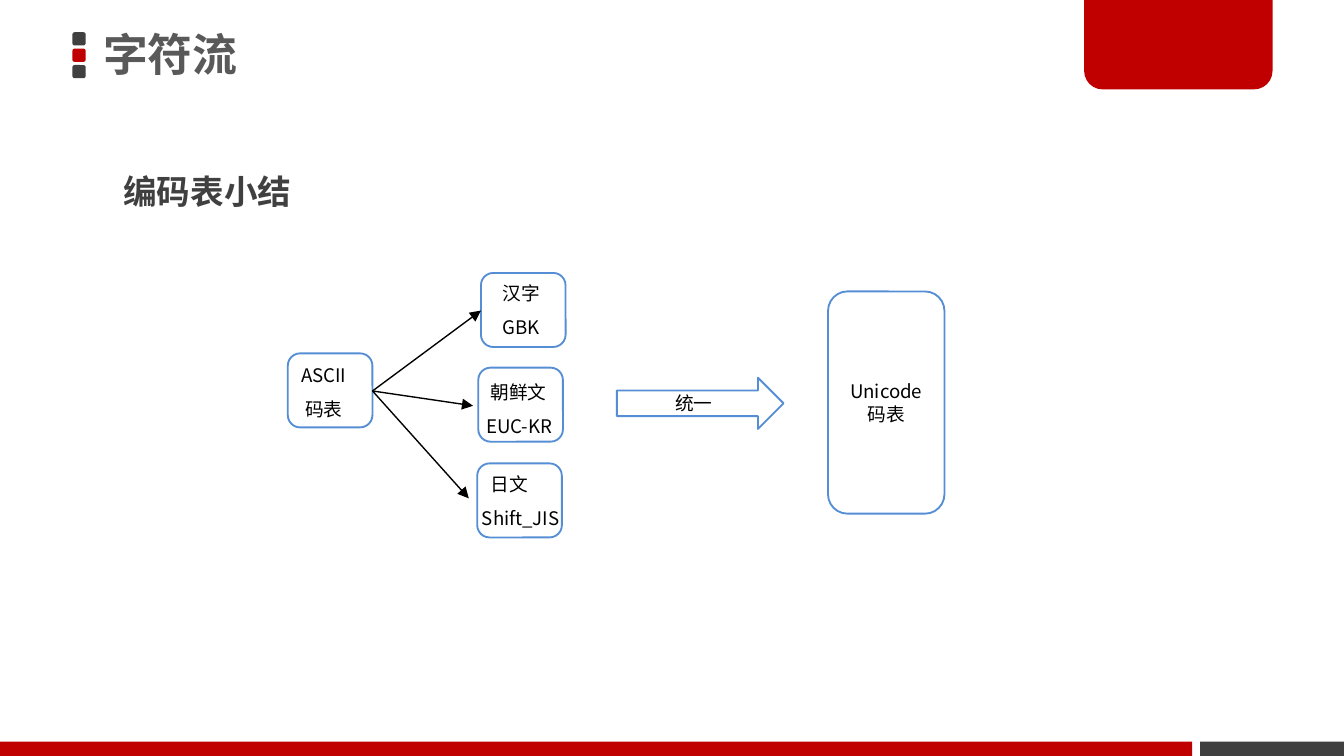
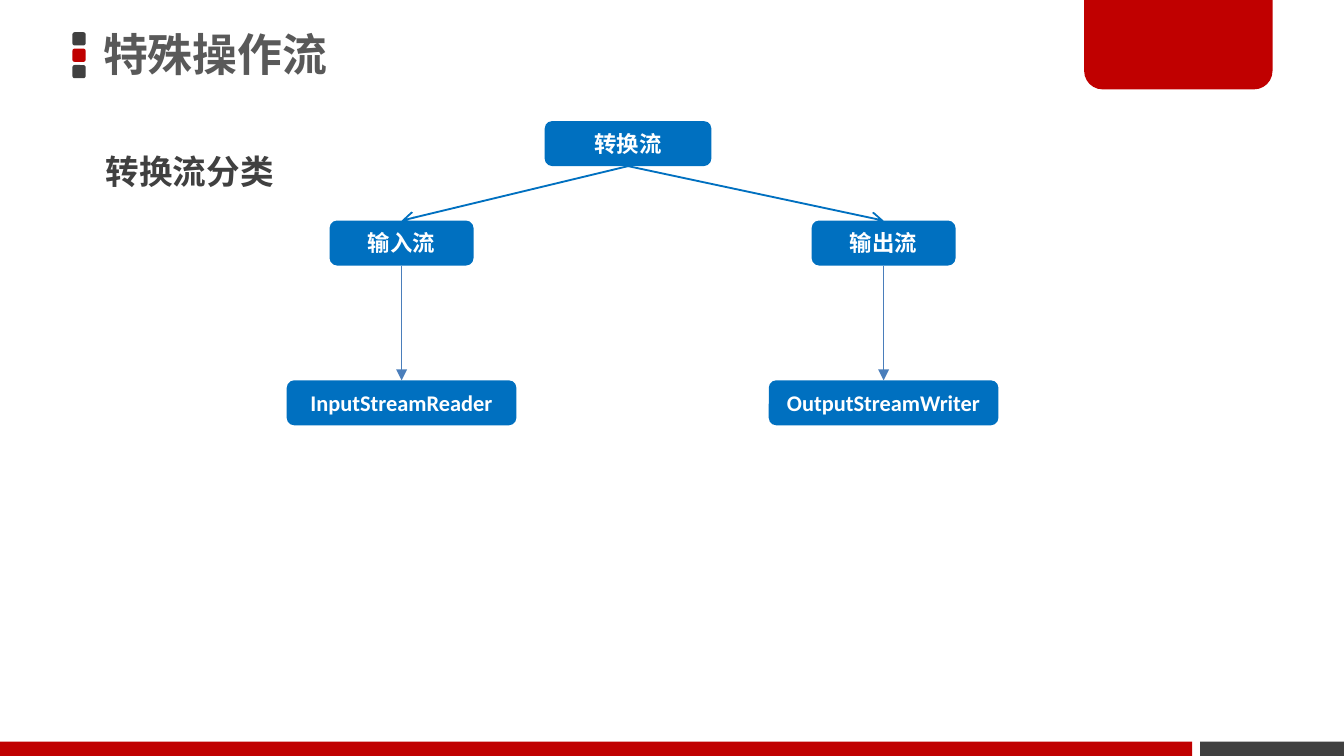
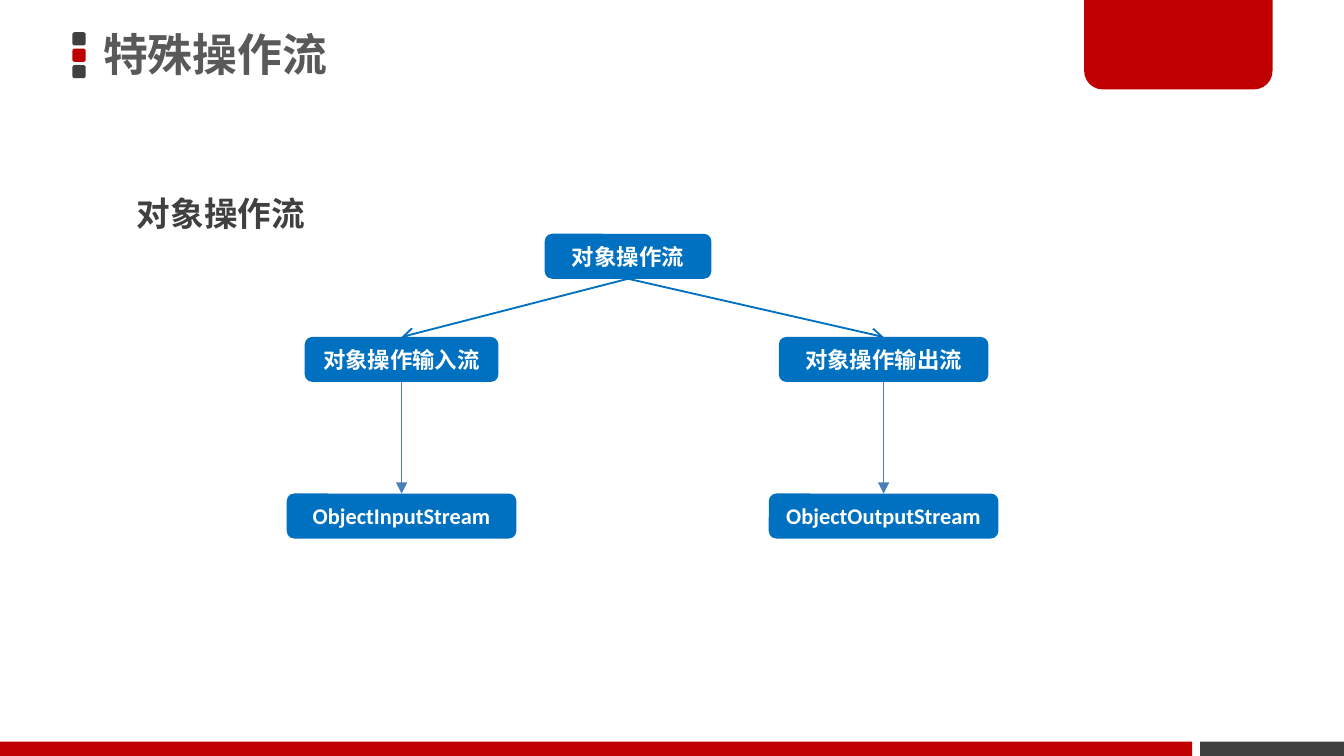
from pptx import Presentation
from pptx.dml.color import RGBColor
from pptx.enum.shapes import MSO_CONNECTOR, MSO_SHAPE
from pptx.enum.text import MSO_ANCHOR, MSO_AUTO_SIZE, PP_ALIGN
from pptx.oxml.ns import qn
from pptx.util import Cm, Pt
from lxml.etree import SubElement

HUES = {
    "red": "C00000", "dark": "404040", "grey": "595959", "blue": "0070C0",
    "edge": "558ED5", "steel": "4A7EBB", "white": "FFFFFF", "black": "000000",
}
HUES = {name: RGBColor.from_string(code) for name, code in HUES.items()}
SANS, LATIN = "Noto Sans CJK SC", "Calibri"
ROUND = MSO_SHAPE.ROUNDED_RECTANGLE


def box(slide, kind, at, fill=None, edge=None):
    """Add a preset shape at (left, top, width, height) in cm."""
    shape = slide.shapes.add_shape(kind, *[Cm(n) for n in at])
    shape.shadow.inherit = False
    if fill:
        shape.fill.solid()
        shape.fill.fore_color.rgb = HUES[fill]
    else:
        shape.fill.background()
    if edge:
        shape.line.color.rgb = HUES[edge]
        shape.line.width = Pt(1)
    else:
        shape.line.fill.background()
    return shape


def write(shape, rows, size, hue, face=SANS, bold=False, align=PP_ALIGN.CENTER,
          space=1.0, **frame):
    """Fill a shape with rows of (indent in cm, text)."""
    body = shape.text_frame
    for key, val in {"word_wrap": True, **frame}.items():
        setattr(body, key, val)
    for i, (dent, words) in enumerate(rows):
        para = body.add_paragraph() if i else body.paragraphs[0]
        para.alignment, para.line_spacing = align, space
        if dent:
            para._p.get_or_add_pPr().set("marL", str(Cm(dent)))
        run = para.add_run()
        run.text = words
        for key, val in {"name": face, "size": Pt(size), "bold": bold}.items():
            setattr(run.font, key, val)
        run.font.color.rgb = HUES[hue]
        SubElement(run._r.get_or_add_rPr(), qn("a:ea")).set("typeface", SANS)


deck = Presentation()
deck.slide_width, deck.slide_height = Cm(25.4), Cm(14.29)
links = []  # slide, start, end, hue, width, head

# Shared frame, title and subtitle
HEADS = [
    ("字符流", "编码表小结", (2.08, 2.72, 19.71, 1.4)),
    ("特殊操作流", "转换流分类", (1.75, 2.34, 9.75, 1.4)),
    ("特殊操作流", "对象操作流", (2.34, 3.15, 9.75, 1.4)),
]
LEFT = {"align": PP_ALIGN.LEFT, "space": 1.5, "vertical_anchor": MSO_ANCHOR.TOP}
for head, sub, at in HEADS:
    slide = deck.slides.add_slide(deck.slide_layouts[5])
    for i, hue in enumerate(("dark", "red", "dark")):
        box(slide, ROUND, (1.37, 0.61 + 0.31 * i, 0.25, 0.25), hue)
    box(slide, MSO_SHAPE.RECTANGLE, (22.68, 14.02, 2.72, 0.27), "dark")
    box(slide, MSO_SHAPE.RECTANGLE, (0, 14.02, 22.53, 0.27), "red")
    tab = box(slide, MSO_SHAPE.ROUND_2_SAME_RECTANGLE, (20.49, -0.05, 3.56, 1.74), "red")
    tab.adjustments[0], tab.adjustments[1] = 0, 0.2

    title = slide.shapes.title
    spot = {"left": 1.75, "top": -0.05, "width": 14.96, "height": 2.26}
    for key, val in spot.items():
        setattr(title, key, Cm(val))
    write(title, [(0, head)], 24, "grey", bold=True, align=PP_ALIGN.LEFT, space=0.9,
          vertical_anchor=MSO_ANCHOR.MIDDLE, auto_size=MSO_AUTO_SIZE.NONE,
          margin_left=Cm(0.2), margin_right=Cm(0.2),
          margin_top=Cm(0.1), margin_bottom=Cm(0.1))
    note = slide.shapes.add_textbox(*[Cm(n) for n in at])
    write(note, [(0, sub)], 18, "dark", bold=True, **LEFT)

# Slide 1: code tables, each with a box corner and a label place
slide = deck.slides[0]
CODES = [
    ((5.44, 6.68), (5.44, 6.55, 1.6), [(0, "ASCII"), (0.08, "码表")]),
    ((9.09, 5.16), (9.25, 5.0, 1.4), [(0, "汉字GBK")]),
    ((9.04, 6.95), (8.94, 6.86, 1.93), [(0.08, "朝鲜文"), (0, "EUC-KR")]),
    ((9.02, 8.76), (8.86, 8.61, 2.16), [(0.16, "日文"), (0, "Shift_JIS")]),
]
for spot, at, rows in CODES:
    box(slide, ROUND, (*spot, 1.6, 1.4), "white", "edge")
    label = slide.shapes.add_textbox(*[Cm(n) for n in (*at, 1.52)])
    write(label, rows, 10, "black", **LEFT)
for end in ((9.09, 5.87), (8.94, 7.67), (8.86, 9.42)):
    links.append((slide, (7.04, 7.39), end, "black", 0.75, "triangle"))

table = box(slide, ROUND, (15.65, 5.51, 2.2, 4.2), "white", "edge")
write(table, [(0, "Unicode码表")], 10, "black")
arrow = box(slide, MSO_SHAPE.RIGHT_ARROW, (11.66, 7.14, 3.15, 0.97), edge="edge")
write(arrow, [(0, "统一")], 10, "black", LATIN)

# Slides 2 and 3: class trees with a root and two branches
ROOT, SIDES, TALL = 11.87, (7.59, 16.7), 0.85
TREES = [
    ((2.29, 4.17, 7.19), "转换流",
     [("输入流", 2.72, "InputStreamReader"), ("输出流", 2.72, "OutputStreamWriter")]),
    ((4.42, 6.37, 9.33), "对象操作流",
     [("对象操作输入流", 3.66, "ObjectInputStream"),
      ("对象操作输出流", 3.96, "ObjectOutputStream")]),
]
for slide, (tops, root, arms) in zip(list(deck.slides)[1:], TREES):
    nodes = [(ROOT, tops[0], 3.15, root)]
    for mid, (kind, wide, leaf) in zip(SIDES, arms):
        nodes += [(mid, tops[1], wide, kind), (mid, tops[2], 4.34, leaf)]
        links += [
            (slide, (ROOT, tops[0] + TALL), (mid, tops[1]), "blue", 1, "arrow"),
            (slide, (mid, tops[1] + TALL), (mid, tops[2]), "steel", 0.75, "triangle"),
        ]
    for mid, top, wide, words in nodes:
        node = box(slide, ROUND, (mid - wide / 2, top, wide, TALL), "blue")
        write(node, [(0, words)], 12, "white", LATIN, bold=True)

# Arrows of all slides
for slide, start, end, hue, width, head in links:
    link = slide.shapes.add_connector(
        MSO_CONNECTOR.STRAIGHT, *[Cm(n) for n in (*start, *end)])
    link.line.color.rgb = HUES[hue]
    link.line.width = Pt(width)
    SubElement(link.line._get_or_add_ln(), qn("a:tailEnd")).set("type", head)
    SubElement(link._element.spPr, qn("a:effectLst"))

deck.save("out.pptx")
